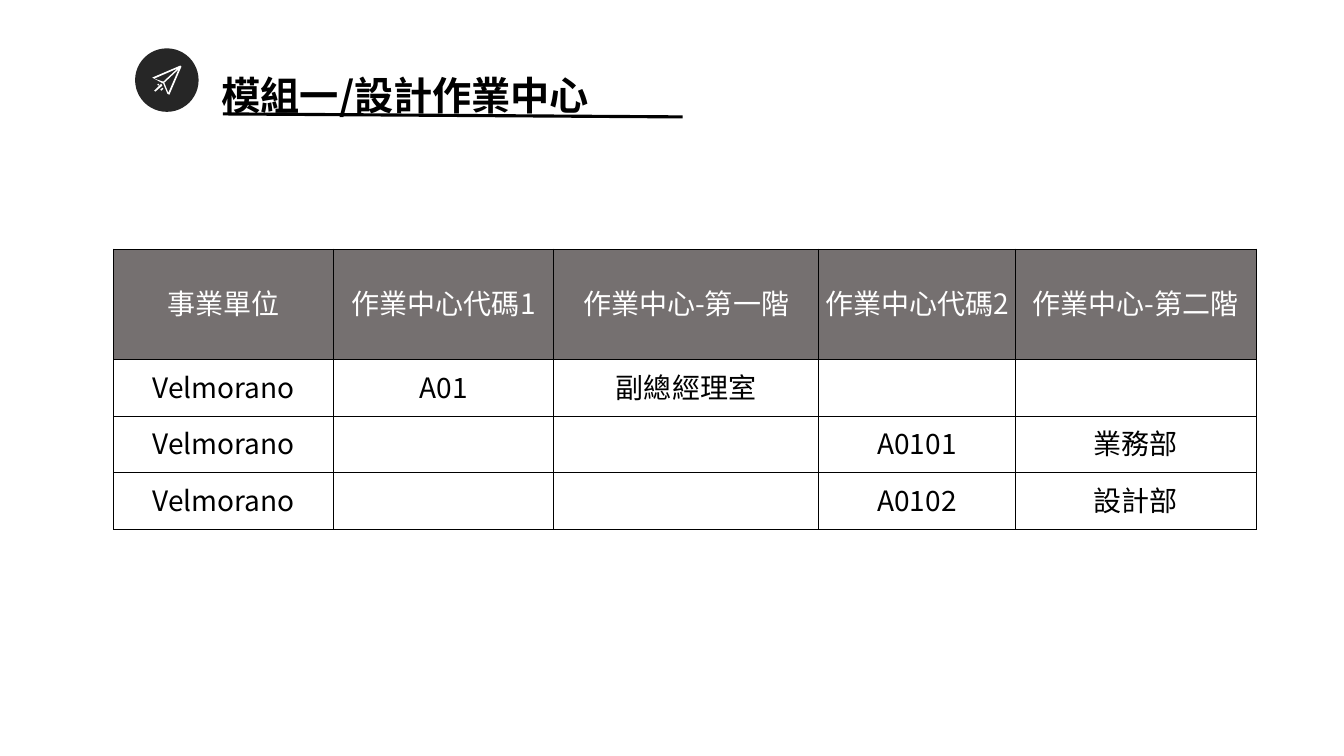
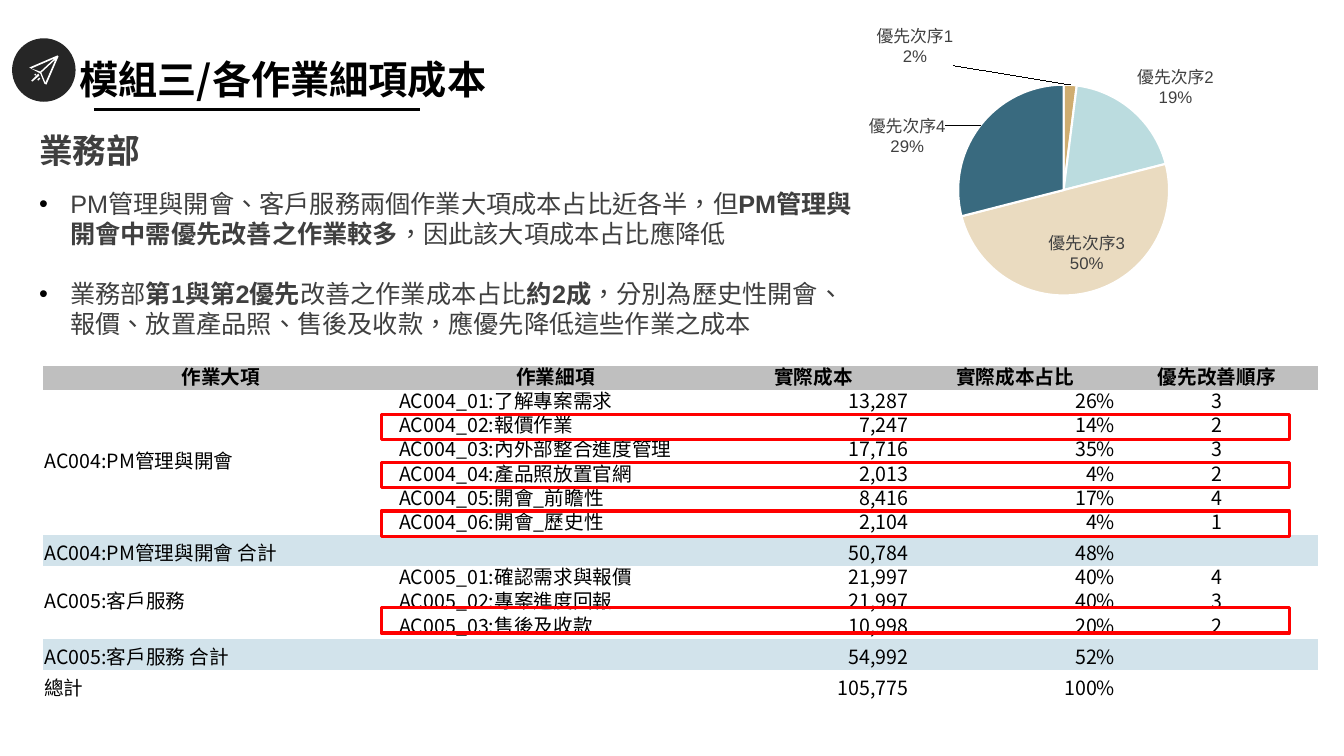
from dataclasses import dataclass

from lxml import etree
from pptx import Presentation
from pptx.chart.data import CategoryChartData
from pptx.dml.color import RGBColor
from pptx.enum.chart import XL_CHART_TYPE as ChartType
from pptx.enum.shapes import MSO_CONNECTOR as Connector, MSO_SHAPE as Preset
from pptx.enum.text import MSO_ANCHOR as Anchor, MSO_AUTO_SIZE as AutoSize, PP_ALIGN as Align
from pptx.oxml import parse_xml
from pptx.oxml.ns import nsdecls, qn
from pptx.util import Inches, Pt


@dataclass(frozen=True)
class Theme:
    black: str = "000000"
    white: str = "FFFFFF"
    badge: str = "262626"
    rule: str = "010101"
    body: str = "3F3F3F"
    label: str = "404040"
    header_dark: str = "757070"
    header_light: str = "BFBFBF"
    subtotal: str = "D2E3EB"
    highlight: str = "FF0000"
    slices: tuple = ("CFAD70", "BBDCDF", "EADBC0", "396A7F")
    title_font: str = "Noto Sans CJK TC"
    table_font: str = "Noto Sans CJK SC"
    body_font: str = "Arial"
    title_size: int = 28
    heading_size: int = 24
    large_cell_size: int = 20
    body_size: int = 18
    cell_size: int = 14
    label_size: int = 12
    line_width: float = 2.25


THEME = Theme()
NO_GRID_STYLE = "{2D5ABB26-0587-4C30-8999-92F81FD0307C}"
PLANE_CONTOURS = (
    ((17, 29), (28, 35), (32, 45), (34, 46), (46, 18), (45, 17)),
    ((33, 44), (29, 34), (43, 21)),
    ((19, 30), (42, 20), (28, 33)),
    ((27, 39), (25, 41), (26, 42), (28, 40)),
    ((26, 35), (19, 42), (20, 43), (27, 37)),
    ((23, 35), (22, 36), (23, 37), (24, 36)),
)


def color(value):
    return RGBColor.from_string(value)


class Deck:
    def __init__(self, theme):
        self.theme = theme
        self.presentation = Presentation()
        self.presentation.slide_width = Inches(13.33)
        self.presentation.slide_height = Inches(7.5)
        self.slide = None

    def new_slide(self):
        self.slide = self.presentation.slides.add_slide(self.presentation.slide_layouts[6])

    def add_run(self, paragraph, text, size, font, ink, bold=False):
        run = paragraph.add_run()
        run.text = text
        run.font.size = Pt(size)
        run.font.bold = bold
        run.font.color.rgb = color(ink)
        run.font.name = font
        properties = run._r.get_or_add_rPr()
        properties.set("lang", "zh-TW")
        etree.SubElement(properties, qn("a:ea")).set("typeface", font)

    def text_box(self, left, top, width, height, anchor=Anchor.TOP):
        box = self.slide.shapes.add_textbox(Inches(left), Inches(top), Inches(width), Inches(height))
        frame = box.text_frame
        frame.word_wrap = True
        frame.auto_size = AutoSize.SHAPE_TO_FIT_TEXT
        frame.vertical_anchor = anchor
        return frame

    def badge(self, left, top):
        size = Inches(0.63)
        circle = self.slide.shapes.add_shape(Preset.OVAL, Inches(left), Inches(top), size, size)
        first, *others = PLANE_CONTOURS
        builder = self.slide.shapes.build_freeform(*first[0], scale=Inches(0.01))
        builder.add_line_segments(first[1:], close=True)
        for contour in others:
            builder.move_to(*contour[0])
            builder.add_line_segments(contour[1:], close=True)
        plane = builder.convert_to_shape(Inches(left), Inches(top))
        for shape, fill in ((circle, self.theme.badge), (plane, self.theme.white)):
            shape.shadow.inherit = False
            shape.fill.solid()
            shape.fill.fore_color.rgb = color(fill)
            shape.line.fill.background()

    def title(self, text, badge, box, rule):
        self.badge(*badge)
        paragraph = self.text_box(*box, anchor=Anchor.MIDDLE).paragraphs[0]
        paragraph.line_spacing = 1.61
        self.add_run(paragraph, text, self.theme.title_size, self.theme.title_font,
                     self.theme.black, True)
        line = self.slide.shapes.add_connector(Connector.STRAIGHT, *(Inches(value) for value in rule))
        line.line.color.rgb = color(self.theme.rule)
        line.line.width = Pt(self.theme.line_width)
        etree.SubElement(line._element.spPr, qn("a:effectLst"))

    def heading(self, text, left, top, width, height):
        paragraph = self.text_box(left, top, width, height).paragraphs[0]
        self.add_run(paragraph, text, self.theme.heading_size, self.theme.body_font,
                     self.theme.body, True)

    def bullets(self, items, left, top, width, height):
        frame = self.text_box(left, top, width, height)
        for index, runs in enumerate(items):
            paragraph = frame.add_paragraph() if index else frame.paragraphs[0]
            if index:
                paragraph.space_before = Pt(21)
            properties = paragraph._p.get_or_add_pPr()
            properties.set("marL", str(Inches(0.31)))
            properties.set("indent", str(-Inches(0.31)))
            bullet_color = etree.SubElement(properties, qn("a:buClr"))
            etree.SubElement(bullet_color, qn("a:srgbClr")).set("val", self.theme.black)
            etree.SubElement(properties, qn("a:buFont")).set("typeface", self.theme.body_font)
            etree.SubElement(properties, qn("a:buChar")).set("char", "•")
            for text, bold in runs:
                self.add_run(paragraph, text, self.theme.body_size, self.theme.body_font,
                             self.theme.body, bold)

    def table(self, left, top, widths, heights):
        frame = self.slide.shapes.add_table(
            len(heights), len(widths), Inches(left), Inches(top),
            Inches(sum(widths)), Inches(sum(heights)))
        table = frame.table
        table.first_row = table.horz_banding = False
        table._tbl.tblPr.find(qn("a:tableStyleId")).text = NO_GRID_STYLE
        for column, width in zip(table.columns, widths):
            column.width = Inches(width)
        for row, height in zip(table.rows, heights):
            row.height = Inches(height)
        return table

    def cell(self, cell, text, size, align=Align.CENTER, anchor=Anchor.MIDDLE, fill=None,
             ink=None, bold=False, right=0.01, bottom=0.05, spacing=None):
        cell.margin_left = cell.margin_top = Inches(0.01)
        cell.margin_right = Inches(right)
        cell.margin_bottom = Inches(bottom)
        cell.vertical_anchor = anchor
        if fill:
            cell.fill.solid()
            cell.fill.fore_color.rgb = color(fill)
        else:
            cell.fill.background()
        paragraph = cell.text_frame.paragraphs[0]
        paragraph.alignment = align
        if spacing:
            paragraph.line_spacing = Pt(spacing)
        if text:
            self.add_run(paragraph, text, size, self.theme.table_font,
                         ink or self.theme.black, bold)

    def borders(self, cell):
        properties = cell._tc.get_or_add_tcPr()
        for index, side in enumerate(("lnL", "lnR", "lnT", "lnB")):
            properties.insert(index, parse_xml(
                f'<a:{side} {nsdecls("a")} w="{Pt(0.75)}"><a:solidFill>'
                f'<a:srgbClr val="{self.theme.black}"/></a:solidFill></a:{side}>'))

    def outline(self, left, top, width, height):
        shape = self.slide.shapes.add_shape(
            Preset.RECTANGLE, Inches(left), Inches(top), Inches(width), Inches(height))
        shape.shadow.inherit = False
        shape.fill.background()
        shape.line.color.rgb = color(self.theme.highlight)
        shape.line.width = Pt(self.theme.line_width)

    def pie(self, categories, values, label_places, left, top, width, height):
        data = CategoryChartData()
        data.categories = categories
        data.add_series("Series 1", values)
        chart = self.slide.shapes.add_chart(
            ChartType.PIE, Inches(left), Inches(top), Inches(width), Inches(height), data).chart
        chart.has_title = chart.has_legend = False
        chart.font.size = Pt(self.theme.label_size)
        chart.font.name = self.theme.body_font
        chart.font.color.rgb = color(self.theme.label)
        plot = chart.plots[0]
        plot.vary_by_categories = True
        series = plot.series[0]
        for index, fill in enumerate(self.theme.slices):
            slice_format = series.points[index].format
            slice_format.fill.solid()
            slice_format.fill.fore_color.rgb = color(fill)
            slice_format.line.color.rgb = color(self.theme.white)
            slice_format.line.width = Pt(1.5)
        labels = series.data_labels
        labels.show_value = False
        labels.show_category_name = labels.show_percentage = True
        labels.number_format = "0%"
        labels.number_format_is_linked = False
        labels_xml = labels._element
        separator = parse_xml(f'<c:separator {nsdecls("c")}>\n</c:separator>')
        labels_xml.find(qn("c:showBubbleSize")).addnext(separator)
        for index, (x, y, position) in enumerate(label_places):
            labels_xml.insert(index, parse_xml(
                f'<c:dLbl {nsdecls("c")}><c:idx val="{index}"/>'
                f'<c:layout><c:manualLayout><c:x val="{x}"/><c:y val="{y}"/></c:manualLayout></c:layout>'
                f'<c:numFmt formatCode="0%" sourceLinked="0"/><c:dLblPos val="{position}"/>'
                '<c:showLegendKey val="0"/><c:showVal val="0"/><c:showCatName val="1"/>'
                '<c:showSerName val="0"/><c:showPercent val="1"/><c:showBubbleSize val="0"/>'
                '<c:separator>\n</c:separator></c:dLbl>'))
        plot_area = chart._chartSpace.chart.plotArea
        for layout in plot_area.findall(qn("c:layout")):
            plot_area.remove(layout)
        plot_area.insert(0, parse_xml(
            f'<c:layout {nsdecls("c")}><c:manualLayout><c:layoutTarget val="inner"/>'
            '<c:xMode val="edge"/><c:yMode val="edge"/><c:x val="0.31"/><c:y val="0.19"/>'
            '<c:w val="0.42"/><c:h val="0.63"/></c:manualLayout></c:layout>'))


def work_center_slide(deck):
    theme = deck.theme
    deck.new_slide()
    rows = (
        ("事業單位", "作業中心代碼1", "作業中心-第一階", "作業中心代碼2", "作業中心-第二階"),
        ("Velmorano", "A01", "副總經理室", "", ""),
        ("Velmorano", "", "", "A0101", "業務部"),
        ("Velmorano", "", "", "A0102", "設計部"),
    )
    table = deck.table(1.13, 2.47, (2.18, 2.18, 2.63, 1.95, 2.39), (1.1, 0.56, 0.56, 0.56))
    for row, texts in enumerate(rows):
        header = row == 0
        for column, text in enumerate(texts):
            cell = table.cell(row, column)
            deck.cell(cell, text, theme.large_cell_size,
                      fill=theme.header_dark if header else None,
                      ink=theme.white if header else theme.black)
            deck.borders(cell)
    deck.title("模組一/設計作業中心", (1.34, 0.48), (2.1, 0.43, 9.33, 0.73), (2.21, 1.13, 6.77, 1.16))


def cost_table(deck):
    theme = deck.theme
    rows = (
        ("作業大項", "作業細項", "實際成本", "實際成本占比", "優先改善順序"),
        ("AC004:PM管理與開會", "AC004_01:了解專案需求", "13,287", "26%", "3"),
        ("", "AC004_02:報價作業", "7,247", "14%", "2"),
        ("", "AC004_03:內外部整合進度管理", "17,716", "35%", "3"),
        ("", "AC004_04:產品照放置官網", "2,013", "4%", "2"),
        ("", "AC004_05:開會_前瞻性", "8,416", "17%", "4"),
        ("", "AC004_06:開會_歷史性", "2,104", "4%", "1"),
        ("AC004:PM管理與開會 合計", "", "50,784", "48%", ""),
        ("AC005:客戶服務", "AC005_01:確認需求與報價", "21,997", "40%", "4"),
        ("", "AC005_02:專案進度回報", "21,997", "40%", "3"),
        ("", "AC005_03:售後及收款", "10,998", "20%", "2"),
        ("AC005:客戶服務 合計", "", "54,992", "52%", ""),
        ("總計", "", "105,775", "100%", ""),
    )
    top, row_height = 3.63, 0.24
    aligns = (Align.LEFT, Align.LEFT, Align.RIGHT, Align.RIGHT, Align.CENTER)
    groups = {1: 6, 8: 3}
    table = deck.table(0.43, top, (3.52, 3.12, 2, 2, 2), (row_height,) * len(rows))
    for row, texts in enumerate(rows):
        header = row == 0
        subtotal = theme.subtotal if texts[0].endswith("合計") else None
        for column, text in enumerate(texts):
            deck.cell(table.cell(row, column), text, theme.cell_size,
                      align=Align.CENTER if header else aligns[column],
                      anchor=Anchor.MIDDLE if column == 0 and row in groups else Anchor.BOTTOM,
                      fill=theme.header_light if header else subtotal, bold=header,
                      right=0.06 if column == 2 and not header else 0.01,
                      bottom=0, spacing=16.5)
    for first, count in groups.items():
        table.cell(first, 0).merge(table.cell(first + count - 1, 0))
    return [top + row * row_height for row, texts in enumerate(rows) if texts[4] in ("1", "2")]


def activity_cost_slide(deck):
    deck.new_slide()
    deck.title("模組三/各作業細項成本", (0.12, 0.38), (0.69, 0.21, 5.9, 0.86), (0.93, 1.09, 4.17, 1.09))
    deck.heading("業務部", 0.29, 1.24, 1.87, 0.5)
    priority_tops = cost_table(deck)
    deck.pie([f"優先次序{number}" for number in range(1, 5)], (2, 19, 50, 29),
             ((-0.31, -0.04, "outEnd"), (0, 0, "outEnd"), (0.02, 0.03, "ctr"), (-0.06, 0.1, "outEnd")),
             7.96, 0.21, 4.98, 3.32)
    deck.bullets((
        (("PM管理與開會、客戶服務兩個作業大項成本占比近各半，但", False),
         ("PM管理與開會中需優先改善之作業較多", True),
         ("，因此該大項成本占比應降低", False)),
        (("業務部", False), ("第1與第2優先", True), ("改善之作業成本占比", False), ("約2成", True),
         ("，分別為歷史性開會、報價、放置產品照、售後及收款，應優先降低這些作業之成本", False)),
    ), 0.29, 1.82, 8.37, 1.62)
    for top in priority_tops:
        deck.outline(3.78, top, 9.01, 0.25)


def main():
    deck = Deck(THEME)
    work_center_slide(deck)
    activity_cost_slide(deck)
    deck.presentation.save("out.pptx")


if __name__ == "__main__":
    main()
